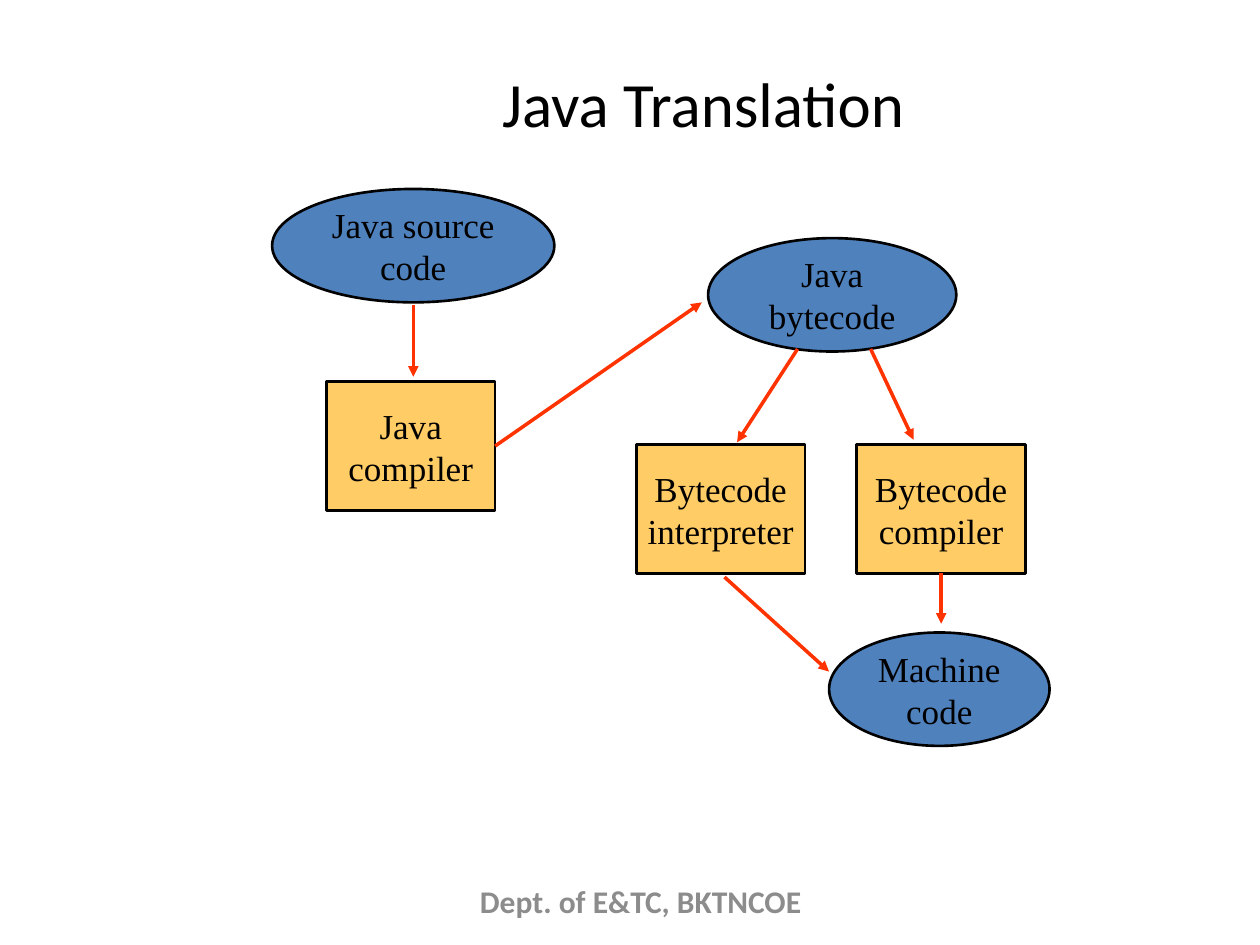
"""Build a slide that shows how Java source becomes machine code."""
from lxml.etree import SubElement
from pptx import Presentation
from pptx.dml.color import RGBColor
from pptx.enum.shapes import MSO_CONNECTOR as CONNECTOR, MSO_SHAPE as SHAPE
from pptx.enum.text import MSO_ANCHOR as ANCHOR, PP_ALIGN as ALIGN
from pptx.oxml.ns import qn
from pptx.util import Inches, Pt

COLORS = {
    "data": "4F81BD",
    "tool": "FFCC66",
    "arrow": "FF3300",
    "ink": "000000",
    "footer": "8C8C8C",
}


def color(name):
    return RGBColor.from_string(COLORS[name])


def write(shape, lines, font_name, size, ink="ink", bold=False):
    frame = shape.text_frame
    frame.vertical_anchor = ANCHOR.MIDDLE
    frame.text = "\n".join(lines)
    for para in frame.paragraphs:
        para.alignment = ALIGN.CENTER
        para.font.name = font_name
        para.font.size = Pt(size)
        para.font.bold = bold
        para.font.color.rgb = color(ink)


deck = Presentation()
deck.slide_width, deck.slide_height = Inches(10), Inches(7.5)
page = deck.slides.add_slide(deck.slide_layouts[6])

captions = [
    ("Java Translation", (2.58, 0.3, 6, 1.03), 36, "ink", False),
    ("Dept. of E&TC, BKTNCOE", (0.42, 6.95, 9.33, 0.4), 18, "footer", True),
]
for caption, place, size, ink, bold in captions:
    box = page.shapes.add_textbox(*map(Inches, place))
    box.text_frame.word_wrap = True
    write(box, [caption], "Calibri", size, ink, bold)

kinds = {"data": (SHAPE.OVAL, 0.9), "tool": (SHAPE.RECTANGLE, 1.02)}
stages = [
    ("data", ("Java source", "code"), 2.16, 1.5, 2.24),
    ("data", ("Machine", "code"), 6.58, 5.02, 1.75),
    ("data", ("Java", "bytecode"), 5.62, 1.89, 1.97),
    ("tool", ("Bytecode", "interpreter"), 5.05, 3.53, 1.34),
    ("tool", ("Bytecode", "compiler"), 6.8, 3.53, 1.34),
    ("tool", ("Java", "compiler"), 2.59, 3.03, 1.34),
]
nodes = {}
for kind, lines, left, top, width in stages:
    outline, height = kinds[kind]
    node = page.shapes.add_shape(outline, *map(Inches, (left, top, width, height)))
    node.shadow.inherit = False
    node.fill.solid()
    node.fill.fore_color.rgb = color(kind)
    node.line.color.rgb = color("ink")
    node.line.width = Pt(1.5)
    node.text_frame.word_wrap = False
    write(node, lines, "Times New Roman", 20)
    nodes[" ".join(lines)] = node

arrows = [
    ((3.28, 2.42), (3.28, 2.99), None),
    ((3.93, 3.54), (5.57, 2.4), ("Java compiler", 3)),
    ((6.33, 2.77), (5.85, 3.51), None),
    ((6.91, 2.77), (7.25, 3.49), None),
    ((7.47, 4.55), (7.47, 4.95), ("Bytecode compiler", 2)),
    ((5.75, 4.58), (6.58, 5.33), None),
]
for start, end, joint in arrows:
    arrow = page.shapes.add_connector(CONNECTOR.STRAIGHT, *map(Inches, start + end))
    if joint:
        name, side = joint
        arrow.begin_connect(nodes[name], side)
    arrow.line.color.rgb = color("arrow")
    arrow.line.width = Pt(2)
    SubElement(arrow.line._get_or_add_ln(), qn("a:tailEnd"), type="triangle")
    SubElement(arrow._element.spPr, qn("a:effectLst"))

deck.save("out.pptx")
